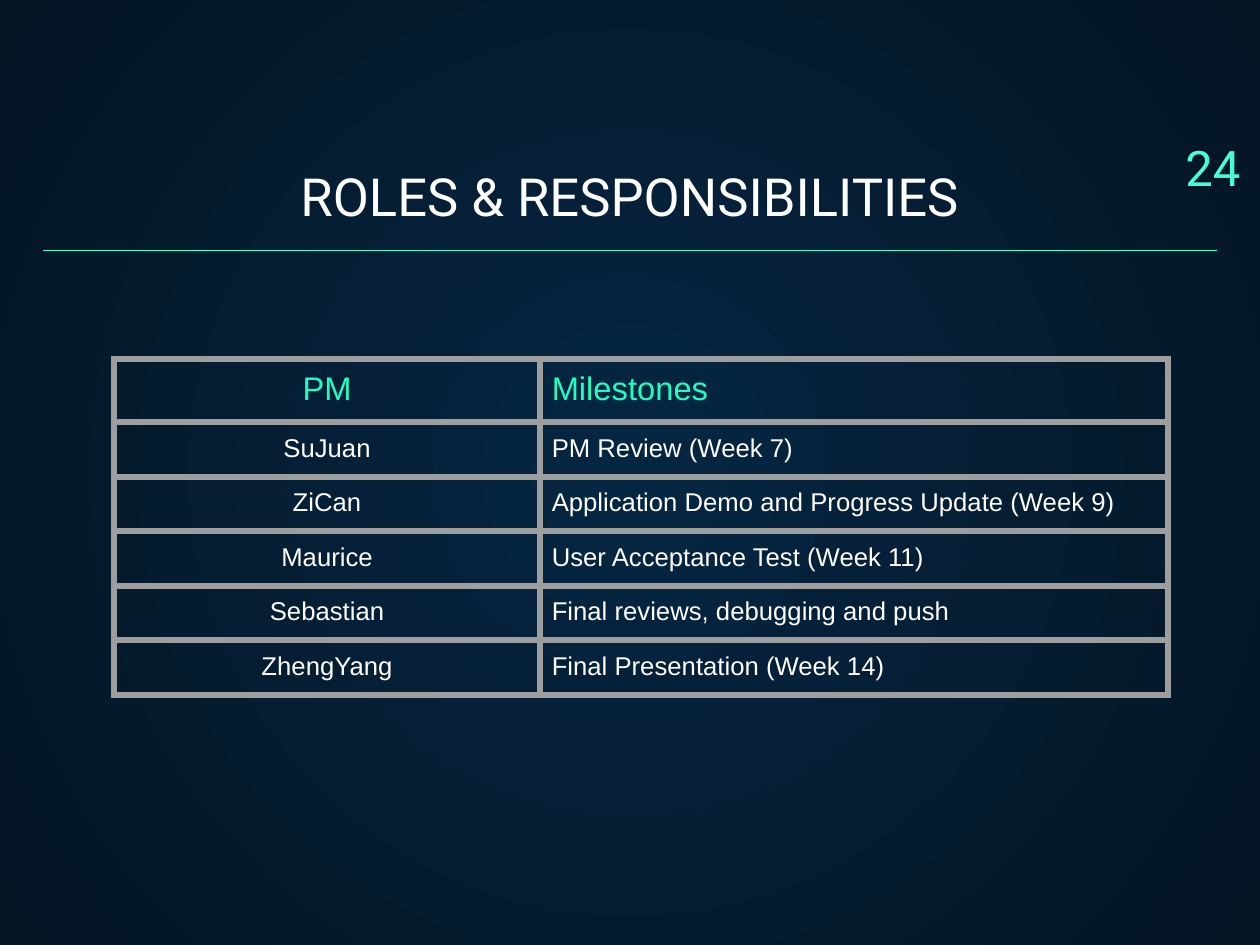
from lxml.etree import SubElement
from pptx import Presentation
from pptx.dml.color import RGBColor
from pptx.enum.shapes import MSO_CONNECTOR
from pptx.enum.text import MSO_ANCHOR, MSO_AUTO_SIZE, PP_ALIGN
from pptx.oxml.ns import qn
from pptx.util import Pt

COLORS = {
    "glow": "052643",
    "edge": "041523",
    "accent": "48FFD5",
    "heading": "1EFFC1",
    "text": "FFFFFF",
    "border": "9E9E9E",
}
INSET = Pt(5)
MILESTONES = [
    ("PM", "Milestones"),
    ("SuJuan", "PM Review (Week 7)"),
    ("ZiCan", "Application Demo and Progress Update (Week 9)"),
    ("Maurice", "User Acceptance Test (Week 11)"),
    ("Sebastian", "Final reviews, debugging and push"),
    ("ZhengYang", "Final Presentation (Week 14)"),
]


def rgb(name):
    return RGBColor.from_string(COLORS[name])


def write(frame, text, size, color="text", font="Roboto", align=PP_ALIGN.LEFT):
    paragraph = frame.paragraphs[0]
    paragraph.alignment = align
    run = paragraph.add_run()
    run.text = text
    run.font.size = Pt(size)
    run.font.name = font
    run.font.bold = False
    run.font.color.rgb = rgb(color)


def set_insets(holder):
    holder.margin_left = holder.margin_right = INSET
    holder.margin_top = holder.margin_bottom = INSET


def place_text(shape, box, text, **style):
    """Move a text shape to its box and write one bottom-anchored line."""
    shape.left, shape.top, shape.width, shape.height = map(Pt, box)
    frame = shape.text_frame
    frame.word_wrap = True
    frame.auto_size = MSO_AUTO_SIZE.NONE
    frame.vertical_anchor = MSO_ANCHOR.BOTTOM
    set_insets(frame)
    write(frame, text, **style)


def paint_background(slide):
    """Fill with a radial gradient that glows from the centre."""
    fill = slide.background.fill
    fill.gradient()
    for stop, position, name in zip(fill.gradient_stops, (0, 1), ("glow", "edge")):
        stop.position = position
        stop.color.rgb = rgb(name)
    gradient = next(slide.element.iter(qn("a:gradFill")))
    gradient.remove(gradient.find(qn("a:lin")))
    circle = SubElement(gradient, qn("a:path"), path="circle")
    SubElement(circle, qn("a:fillToRect"), l="50000", t="50000", r="50000", b="50000")


def add_header(slide, box, title, number):
    left, top, width, height = box
    place_text(slide.shapes.title, box, title, size=22.5, align=PP_ALIGN.CENTER)

    number_box = (left + width - 54.7, top - 13, 69.8, height)
    page_number = slide.shapes.add_textbox(*map(Pt, number_box))
    place_text(page_number, number_box, number, size=21, color="accent",
               align=PP_ALIGN.RIGHT)

    rule_y = Pt(top + height + 5.2)
    rule = slide.shapes.add_connector(
        MSO_CONNECTOR.STRAIGHT, Pt(left), rule_y, Pt(left + width), rule_y)
    rule.line.color.rgb = rgb("accent")
    rule.line.width = Pt(0.75)
    SubElement(rule.element.spPr, qn("a:effectLst"))


def add_borders(cell):
    properties = cell._tc.get_or_add_tcPr()
    for side in ("lnL", "lnR", "lnT", "lnB"):
        line = SubElement(properties, qn(f"a:{side}"), w=str(Pt(3)))
        solid = SubElement(line, qn("a:solidFill"))
        SubElement(solid, qn("a:srgbClr"), val=COLORS["border"])


def add_milestones(slide, box, rows, first_column=182.6, heading_height=27.1):
    left, top, width, height = box
    table = slide.shapes.add_table(len(rows), 2, *map(Pt, box)).table
    table.first_row = False
    table.horz_banding = False
    table.columns[0].width = Pt(first_column)
    table.columns[1].width = Pt(width - first_column)
    row_height = (height - heading_height) / (len(rows) - 1)

    for r, texts in enumerate(rows):
        table.rows[r].height = Pt(row_height if r else heading_height)
        style = {"size": 11} if r else {"size": 14, "color": "heading"}
        for c, text in enumerate(texts):
            cell = table.cell(r, c)
            set_insets(cell)
            add_borders(cell)
            cell.fill.background()
            write(cell.text_frame, text, font="Arial",
                  align=PP_ALIGN.LEFT if c else PP_ALIGN.CENTER, **style)


def main():
    deck = Presentation()
    deck.slide_width, deck.slide_height = Pt(540), Pt(405)
    slide = deck.slides.add_slide(deck.slide_layouts[5])
    paint_background(slide)
    add_header(slide, (18.5, 66.2, 503, 36), "ROLES & RESPONSIBILITIES", "24")
    add_milestones(slide, (48.9, 153.9, 451.8, 144), MILESTONES)
    deck.save("out.pptx")


if __name__ == "__main__":
    main()
